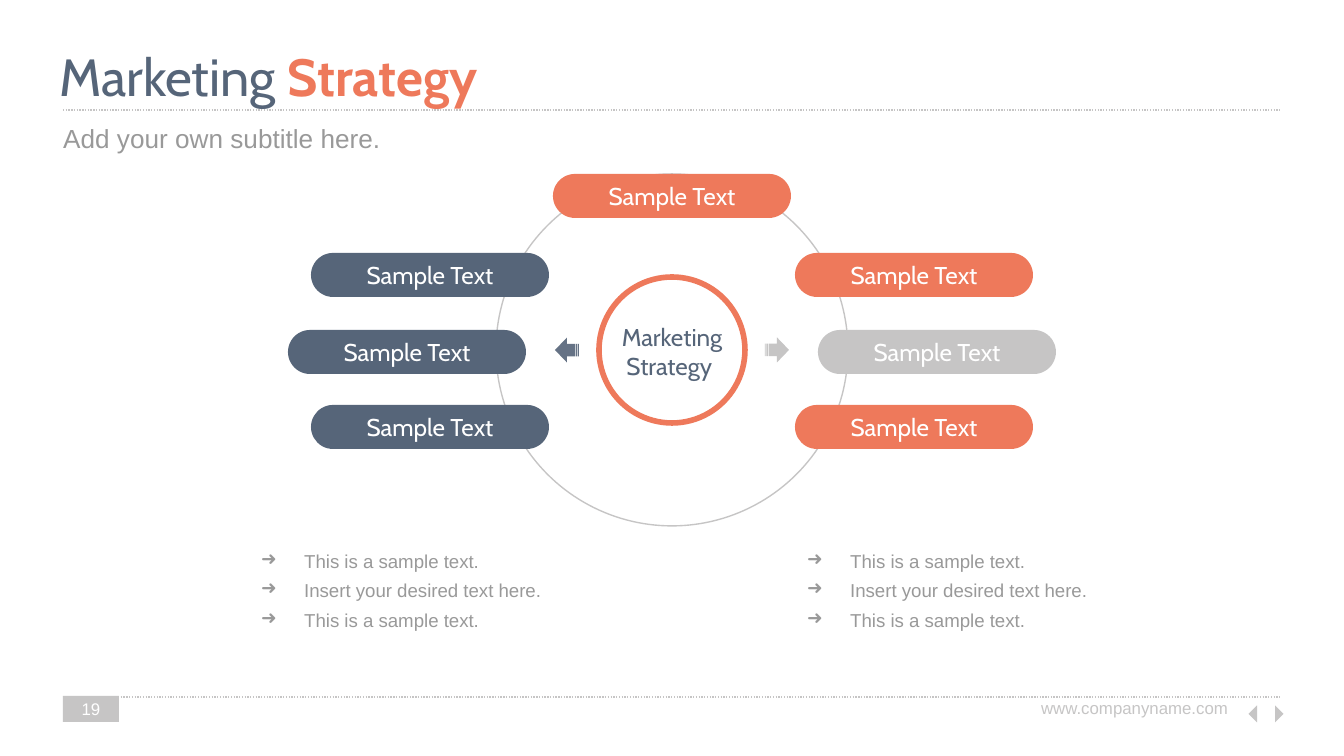
"""Build the Marketing Strategy slide: a ring of labelled pills around a central circle."""
from dataclasses import dataclass

from lxml.etree import SubElement
from pptx import Presentation
from pptx.dml.color import RGBColor
from pptx.enum.dml import MSO_LINE
from pptx.enum.shapes import MSO_CONNECTOR, MSO_SHAPE as Shape
from pptx.enum.text import MSO_ANCHOR as Anchor, PP_ALIGN as Align
from pptx.oxml.ns import qn
from pptx.util import Emu, Pt


@dataclass(frozen=True)
class Theme:
    slate: str = "566579"
    orange: str = "EE795B"
    silver: str = "C6C5C5"
    gray: str = "999999"
    white: str = "FFFFFF"
    heading: str = "Cabin"
    body: str = "Arial"
    title_size: int = 28
    subtitle_size: int = 14
    label_size: int = 13
    bullet_size: int = 10
    footer_size: int = 9
    thin: float = 0.75
    thick: int = 3


THEME = Theme()
EMU_PER_PX = 914400 / 134.4
WIDTH, HEIGHT = 1344, 756
CENTER_X, CENTER_Y = WIDTH // 2, 350
INSET = 13.44

TITLE = [("Marketing ", THEME.slate, False), ("Strategy", THEME.orange, True)]
SUBTITLE = "Add your own subtitle here."
CENTER_LABEL = "Marketing Strategy "
WEBSITE = "www.companyname.com"
PAGE_NUMBER = "19"
BULLETS = ["This is a sample text.", "Insert your desired text here.", "This is a sample text."]
PILL_TEXT = "Sample Text"

PILL_WIDTH, PILL_HEIGHT = 238, 44
TOP_PILL_Y = 174
PILL_ROWS = [
    (253, 242, THEME.orange),
    (405, 242, THEME.orange),
    (330, 265, THEME.silver),
]
RULES_Y = [697, 110]
RULE_LEFT, RULE_RIGHT = 63, 1281
BULLET_LEFTS = [224, 770]
CIRCLES = [(352, THEME.silver, THEME.thin), (146, THEME.orange, THEME.thick)]
ARROW_SIZE = (24, 25)
ARROWS = [(-105, 180, THEME.slate, 91), (105, 0, THEME.silver, 100)]
TRIANGLES = [(1251, 45), (1269, 225)]


def px(value):
    return Emu(round(value * EMU_PER_PX))


def rgb(color):
    return RGBColor.from_string(color)


def add_run(paragraph, text, font, size, color, bold=False):
    run = paragraph.add_run()
    run.text = text
    run.font.name = font
    run.font.size = Pt(size)
    run.font.bold = bold
    run.font.color.rgb = rgb(color)


def prepare_frame(shape, anchor):
    frame = shape.text_frame
    frame.word_wrap = True
    frame.vertical_anchor = anchor
    frame.margin_left = frame.margin_right = px(INSET)
    frame.margin_top = frame.margin_bottom = px(INSET)
    return frame


def add_text(slide, box, runs, align=Align.LEFT, anchor=Anchor.TOP):
    frame = prepare_frame(slide.shapes.add_textbox(*map(px, box)), anchor)
    frame.paragraphs[0].alignment = align
    for run in runs:
        add_run(frame.paragraphs[0], *run)


def add_shape(slide, kind, box, fill=None, line=None, rotation=0):
    shape = slide.shapes.add_shape(kind, *map(px, box))
    shape.shadow.inherit = False
    shape.rotation = rotation
    if fill:
        shape.fill.solid()
        shape.fill.fore_color.rgb = rgb(fill)
    else:
        shape.fill.background()
    if line:
        color, weight = line
        shape.line.color.rgb = rgb(color)
        shape.line.width = Pt(weight)
    else:
        shape.line.fill.background()
    return shape


def label_shape(shape, text, font, size):
    paragraph = prepare_frame(shape, Anchor.MIDDLE).paragraphs[0]
    paragraph.alignment = Align.CENTER
    add_run(paragraph, text, font, size, THEME.white)


def add_rule(slide, y):
    rule = slide.shapes.add_connector(
        MSO_CONNECTOR.STRAIGHT, px(RULE_LEFT), px(y), px(RULE_RIGHT), px(y))
    rule.line.color.rgb = rgb(THEME.silver)
    rule.line.width = Pt(THEME.thin)
    rule.line.dash_style = MSO_LINE.ROUND_DOT
    SubElement(rule._element.spPr, qn("a:effectLst"))


def add_pill(slide, center_x, top, color):
    box = (center_x - PILL_WIDTH / 2, top, PILL_WIDTH, PILL_HEIGHT)
    pill = add_shape(slide, Shape.ROUNDED_RECTANGLE, box, color)
    pill.adjustments[0] = 0.5
    label_shape(pill, PILL_TEXT, THEME.heading, THEME.label_size)


def add_bullets(slide, left):
    box = slide.shapes.add_textbox(*map(px, (left, 530, 351, 112)))
    frame = prepare_frame(box, Anchor.TOP)
    for index, text in enumerate(BULLETS):
        paragraph = frame.add_paragraph() if index else frame.paragraphs[0]
        paragraph.line_spacing = 1.3
        properties = paragraph._p.get_or_add_pPr()
        properties.set("marL", str(px(67)))
        properties.set("indent", str(px(-43)))
        bullet_color = SubElement(properties, qn("a:buClr"))
        SubElement(bullet_color, qn("a:srgbClr"), val=THEME.gray)
        SubElement(properties, qn("a:buChar"), char="➜")
        add_run(paragraph, text, THEME.body, THEME.bullet_size, THEME.gray)


def add_arrow(slide, offset, rotation, color, opacity):
    width, height = ARROW_SIZE
    box = (CENTER_X + offset - width / 2, CENTER_Y - height / 2, width, height)
    arrow = add_shape(slide, Shape.STRIPED_RIGHT_ARROW, box, color, rotation=rotation)
    if opacity < 100:
        fill_color = arrow._element.spPr.find(qn("a:solidFill"))[0]
        SubElement(fill_color, qn("a:alpha"), val=str(opacity * 1000))


def main():
    presentation = Presentation()
    presentation.slide_width, presentation.slide_height = px(WIDTH), px(HEIGHT)
    slide = presentation.slides.add_slide(presentation.slide_layouts[6])

    for y in RULES_Y:
        add_rule(slide, y)
    for left, rotation in TRIANGLES:
        add_shape(slide, Shape.RIGHT_TRIANGLE, (left, 708, 12, 12), THEME.silver,
                  rotation=rotation)
    badge = add_shape(slide, Shape.RECTANGLE, (63, 696, 56, 26), THEME.silver)
    label_shape(badge, PAGE_NUMBER, THEME.body, THEME.footer_size)
    add_text(slide, (1015, 688, 226, 26),
             [(WEBSITE, THEME.body, THEME.footer_size, THEME.silver)], Align.RIGHT)

    add_text(slide, (46, 31, 1253, 69),
             [(text, THEME.heading, THEME.title_size, color, bold)
              for text, color, bold in TITLE])
    add_text(slide, (50, 115, 1253, 47),
             [(SUBTITLE, THEME.body, THEME.subtitle_size, THEME.gray)],
             anchor=Anchor.MIDDLE)
    for left in BULLET_LEFTS:
        add_bullets(slide, left)

    for diameter, color, weight in CIRCLES:
        box = (CENTER_X - diameter / 2, CENTER_Y - diameter / 2, diameter, diameter)
        add_shape(slide, Shape.OVAL, box, line=(color, weight))
    add_pill(slide, CENTER_X, TOP_PILL_Y, THEME.orange)
    for top, offset, color in PILL_ROWS:
        add_pill(slide, CENTER_X + offset, top, color)
        add_pill(slide, CENTER_X - offset, top, THEME.slate)
    add_text(slide, (599, 309, 146, 59),
             [(CENTER_LABEL, THEME.heading, THEME.label_size, THEME.slate)], Align.CENTER)
    for arrow in ARROWS:
        add_arrow(slide, *arrow)

    presentation.save("out.pptx")


if __name__ == "__main__":
    main()
